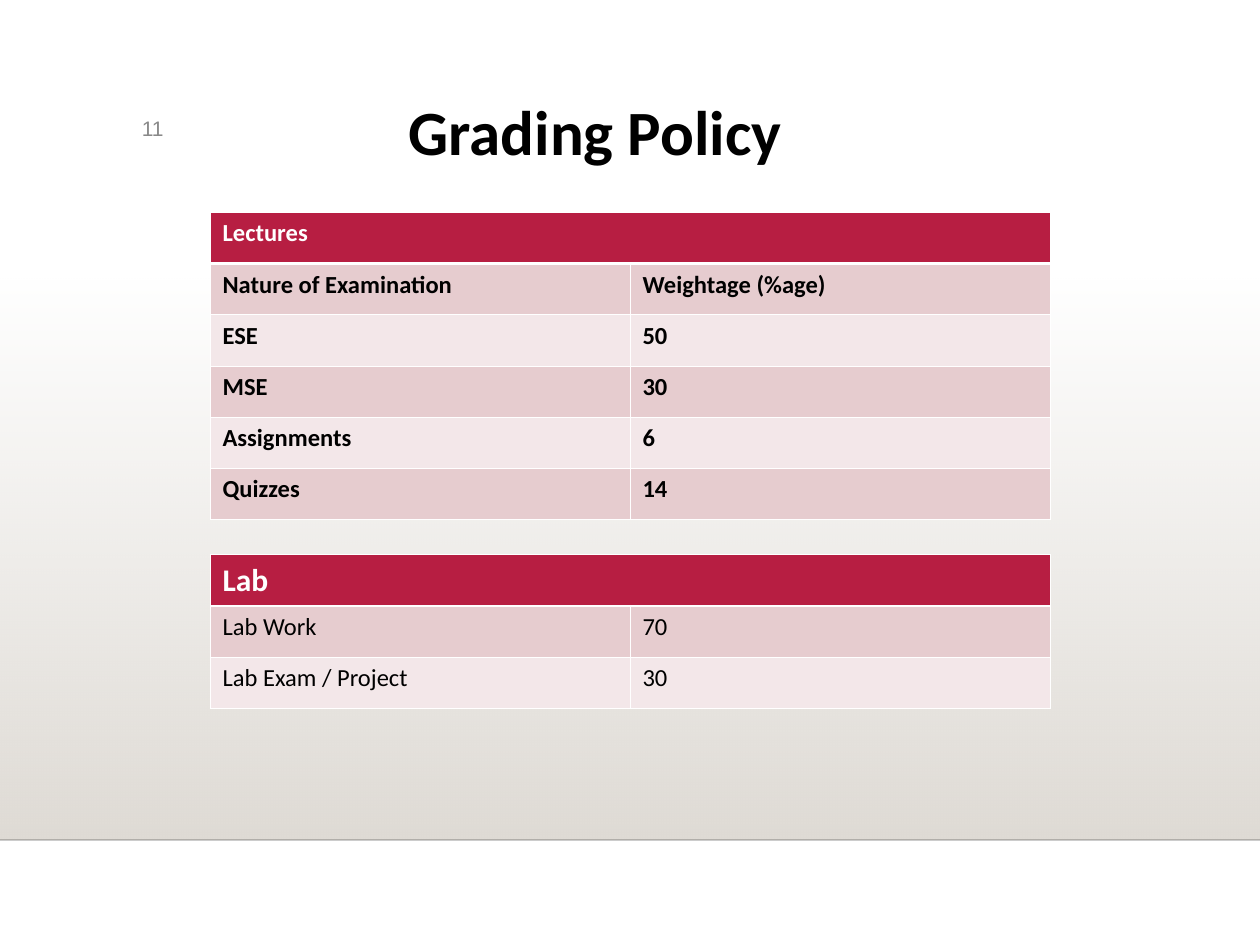
import pptx
import pptx.util
import pptx.dml.color
import pptx.enum.shapes
import pptx.enum.text
import pptx.oxml
import pptx.oxml.ns
from lxml import etree

Pt = pptx.util.Pt
qn = pptx.oxml.ns.qn
HUES = {"black": "000000", "white": "FFFFFF", "grey": "898989", "sand": "DFDBD5",
        "rule": "000001", "head": "B71E42", "dark": "E6CCCF", "light": "F3E7E9"}
HEAD = {"name": "Calibri", "bold": True, "hue": "white"}
BODY = {"name": "Calibri", "size": Pt(14), "hue": "black"}
LECTURES = [("Lectures", ""), ("Nature of Examination", "Weightage (%age)"), ("ESE", "50"),
            ("MSE", "30"), ("Assignments", "6"), ("Quizzes", "14")]
LAB = [("Lab", ""), ("Lab Work", "70"), ("Lab Exam / Project", "30")]


def tint(hue):
    return pptx.dml.color.RGBColor.from_string(HUES[hue])


def style(font, look):
    for key, value in look.items():
        if key == "hue":
            font.color.rgb = tint(value)
        else:
            setattr(font, key, value)


def fade(color, share):
    etree.SubElement(color, qn("a:alpha"), val=str(share * 1000))


def add_floor(slide, box):
    x, y, w, h = box
    floor = slide.shapes.add_shape(pptx.enum.shapes.MSO_SHAPE.RECTANGLE, *map(Pt, box))
    floor.shadow.inherit = False
    floor.line.fill.background()
    floor.fill.gradient()
    floor.fill.gradient_angle = 270
    for stop, place in zip(floor.fill.gradient_stops, (0, 1)):
        stop.color.rgb = tint("sand")
        stop.position = place
    fade(next(floor._element.iter(qn("a:srgbClr"))), 0)

    rule = slide.shapes.add_connector(pptx.enum.shapes.MSO_CONNECTOR.STRAIGHT,
                                      Pt(x), Pt(y + h), Pt(x + w), Pt(y + h))
    rule.line.width = Pt(1)
    rule.line.color.rgb = tint("rule")
    fade(next(rule._element.iter(qn("a:srgbClr"))), 20)
    etree.SubElement(rule._element.spPr, qn("a:effectLst"))


def add_label(slide, box, text, look, align):
    frame = slide.shapes.add_textbox(*map(Pt, box)).text_frame
    frame.word_wrap = True
    par = frame.paragraphs[0]
    par.text = text
    par.alignment = align
    style(par.font, look)


def edge(cell, row):
    widths = {"lnL": 0.45, "lnR": 0.45, "lnT": 1.47 if row == 1 else 0.45,
              "lnB": 1.47 if row == 0 else 0.45}
    props = cell._tc.get_or_add_tcPr()
    for tag, width in widths.items():
        line = etree.SubElement(props, qn("a:" + tag), w=str(Pt(width)))
        fill = etree.SubElement(line, qn("a:solidFill"))
        etree.SubElement(fill, qn("a:srgbClr"), val=HUES["white"])


def add_grades(slide, box, rows, size, bold):
    table = slide.shapes.add_table(len(rows), 2, *map(Pt, box)).table
    table.horz_banding = False
    for col in table.columns:
        col.width = Pt(box[2] / 2)
    for r, texts in enumerate(rows):
        table.rows[r].height = Pt(box[3] / len(rows))
        look = {**BODY, "bold": bold} if r else {**HEAD, "size": Pt(size)}
        for c, text in enumerate(texts):
            cell = table.cell(r, c)
            edge(cell, r)
            cell.fill.solid()
            cell.fill.fore_color.rgb = tint(("light", "dark")[r % 2] if r else "head")
            cell.text = text
            style(cell.text_frame.paragraphs[0].font, look)
    table.cell(0, 0).merge(table.cell(0, 1))


def main():
    deck = pptx.Presentation()
    deck.slide_width, deck.slide_height = Pt(720), Pt(540)
    slide = deck.slides.add_slide(deck.slide_layouts[6])
    side = pptx.enum.text.PP_ALIGN
    add_floor(slide, (0, 158.5, 720, 321.5))
    add_label(slide, (38, 62.5, 62.5, 39.5), "11",
              {"name": "Arial", "size": Pt(12), "hue": "grey"}, side.RIGHT)
    add_label(slide, (226.5, 49.5, 279.5, 50.5), "Grading Policy",
              {"name": "Calibri", "size": Pt(36), "bold": True, "hue": "black"}, side.LEFT)
    add_grades(slide, (120, 121.25, 480, 175.7), LECTURES, 14, True)
    add_grades(slide, (120, 317, 480, 87.85), LAB, 18, False)
    deck.save("out.pptx")


if __name__ == "__main__":
    main()
